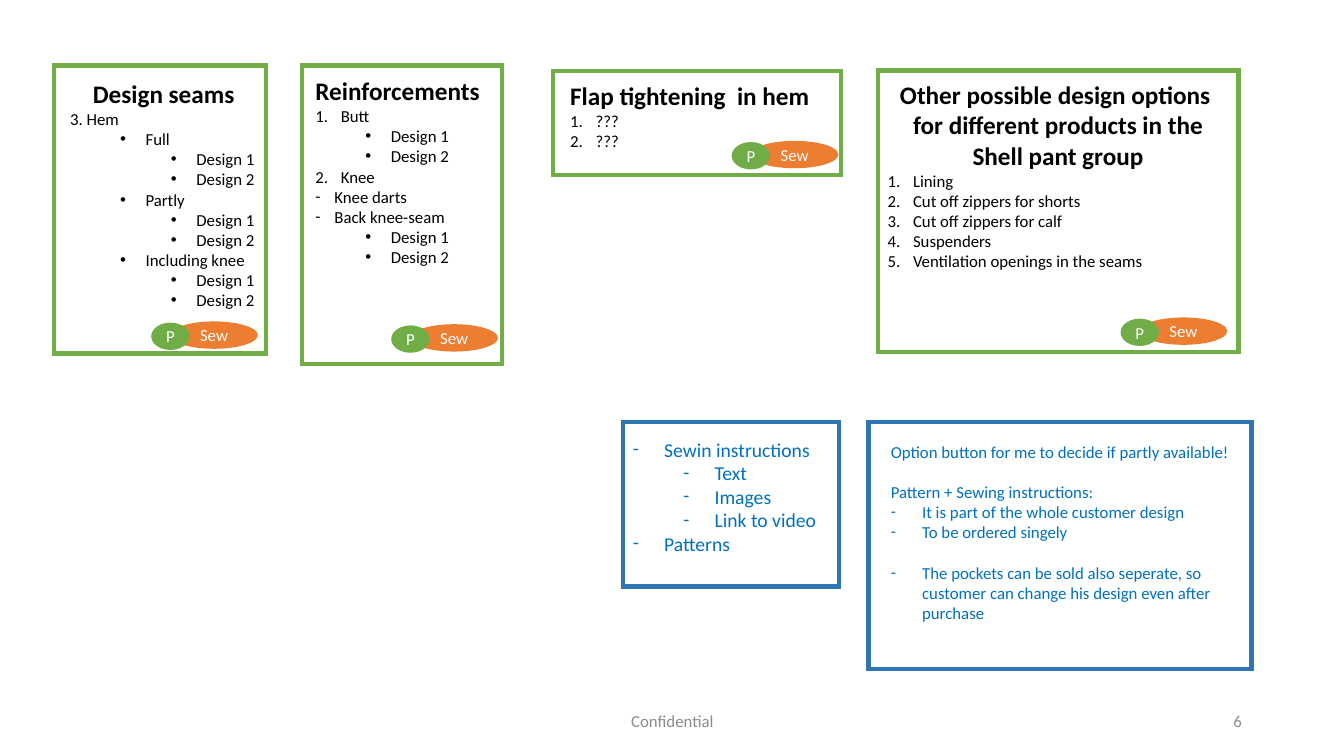
from collections import namedtuple

from lxml.etree import SubElement
from pptx import Presentation
from pptx.dml.color import RGBColor
from pptx.enum.shapes import MSO_SHAPE as Preset
from pptx.enum.text import MSO_ANCHOR as Anchor, MSO_AUTO_SIZE as AutoSize, PP_ALIGN as Align
from pptx.oxml.ns import qn
from pptx.util import Cm, Pt

GREEN = RGBColor(0x70, 0xAD, 0x47)
ORANGE = RGBColor(0xED, 0x7D, 0x31)
BLUE = RGBColor(0x2E, 0x75, 0xB6)
BLUE_TEXT = RGBColor(0x00, 0x70, 0xC0)
GREY = RGBColor(0x8C, 0x8C, 0x8C)
BLACK = RGBColor(0x00, 0x00, 0x00)
WHITE = RGBColor(0xFF, 0xFF, 0xFF)

Item = namedtuple("Item", "marker level indent hang")
PLAIN = Item(None, 0, 0, 0)
NUMBER = Item("1.", 0, 0.64, 0.64)
BULLET = Item("•", 1, 1.9, 0.64)
SUB_BULLET = Item("•", 2, 3.18, 0.64)
DASH = Item("-", 0, 0.48, 0.48)
WIDE_DASH = Item("-", 0, 0.79, 0.79)
SUB_DASH = Item("-", 1, 2.06, 0.79)

DESIGNS = ["Design 1", "Design 2"]
SEAM_COVERAGES = ["Full", "Partly", "Including knee"]


def rows(item, *texts):
    """Pair each text with the same list item style."""
    return [(item, text) for text in texts]


def add_run(paragraph, text, size, colour, bold=False):
    """Append one formatted run."""
    run = paragraph.add_run()
    run.text = text
    run.font.name = "Calibri"
    run.font.size = Pt(size)
    run.font.bold = bold
    run.font.color.rgb = colour


def set_marker(paragraph, item):
    """Give a paragraph its level, hanging indent and list marker."""
    paragraph.level = item.level
    properties = paragraph._p.get_or_add_pPr()
    properties.set("marL", str(Cm(item.indent)))
    properties.set("indent", str(-Cm(item.hang)))
    if item.marker == "1.":
        SubElement(properties, qn("a:buAutoNum"), type="arabicPeriod")
    elif item.marker:
        SubElement(properties, qn("a:buFont"), typeface="Arial" if item.marker == "•" else "Calibri")
        SubElement(properties, qn("a:buChar"), char=item.marker)


def add_frame(shapes, box, colour):
    """Draw the unfilled outline of a card."""
    frame = shapes.add_shape(Preset.FLOWCHART_PROCESS, *map(Cm, box))
    frame.shadow.inherit = False
    frame.fill.background()
    frame.line.color.rgb = colour
    frame.line.width = Pt(3)
    SubElement(frame.line._ln, qn("a:miter"), lim="800000")


def add_list(shapes, box, headings, items, size=12, colour=BLACK,
             heading_align=Align.LEFT, wrap=True, gaps=()):
    """Write bold headings and list items, with a line of space before each gap row."""
    text_box = shapes.add_textbox(*map(Cm, box))
    frame = text_box.text_frame
    frame.word_wrap = wrap
    frame.auto_size = AutoSize.SHAPE_TO_FIT_TEXT
    lines = rows(None, *headings) + items
    for index, (item, text) in enumerate(lines):
        paragraph = frame.add_paragraph() if index else frame.paragraphs[0]
        if index in gaps:
            paragraph.space_before = Pt(size * 1.2)
        if item is None:
            paragraph.alignment = heading_align
            add_run(paragraph, text, 18, colour, bold=True)
        else:
            set_marker(paragraph, item)
            add_run(paragraph, text, size, colour)


def add_card(slide, outline, outline_colour, text_area, headings, items, **options):
    """Group a frame with its list."""
    shapes = slide.shapes.add_group_shape().shapes
    add_frame(shapes, outline, outline_colour)
    add_list(shapes, text_area, headings, items, **options)


def add_oval(shapes, left, top, width, label, colour):
    """Draw one labelled oval."""
    oval = shapes.add_shape(Preset.OVAL, Cm(left), Cm(top), Cm(width), Cm(0.69))
    oval.shadow.inherit = False
    oval.fill.solid()
    oval.fill.fore_color.rgb = colour
    oval.line.fill.background()
    frame = oval.text_frame
    frame.margin_left = frame.margin_right = frame.margin_top = frame.margin_bottom = 0
    frame.vertical_anchor = Anchor.MIDDLE
    frame.paragraphs[0].alignment = Align.CENTER
    add_run(frame.paragraphs[0], label, 12, WHITE)


def add_badge(slide, left, top):
    """Draw the overlapping pattern and sewing ovals."""
    shapes = slide.shapes.add_group_shape().shapes
    add_oval(shapes, left + 0.48, top - 0.03, 2.21, "Sew", ORANGE)
    add_oval(shapes, left, top, 0.97, "P", GREEN)


def add_footer(slide, left, width, text, align):
    """Write one grey footer entry."""
    footer = slide.shapes.add_textbox(Cm(left), Cm(17.65), Cm(width), Cm(1.02))
    frame = footer.text_frame
    frame.word_wrap = True
    frame.vertical_anchor = Anchor.MIDDLE
    frame.paragraphs[0].alignment = align
    add_run(frame.paragraphs[0], text, 12, GREY)


def main():
    """Build the design options slide."""
    deck = Presentation()
    deck.slide_width, deck.slide_height = Cm(33.87), Cm(19.05)
    slide = deck.slides.add_slide(deck.slide_layouts[6])

    add_card(slide, (13.94, 1.8, 7.26, 2.62), GREEN, (14.12, 1.91, 7.04, 2.06),
             ["Flap tightening  in hem"], rows(NUMBER, "???", "???"))
    add_card(slide, (22.12, 1.78, 9.09, 7.09), GREEN, (22.12, 1.88, 9.09, 5.13),
             ["Other possible design options ", "for different products in the Shell pant group"],
             rows(NUMBER, "Lining", "Cut off zippers for shorts", "Cut off zippers for calf",
                  "Suspenders", "Ventilation openings in the seams"),
             heading_align=Align.CENTER)

    seams = rows(PLAIN, "3. Hem")
    for coverage in SEAM_COVERAGES:
        seams += rows(BULLET, coverage) + rows(SUB_BULLET, *DESIGNS)
    add_card(slide, (1.37, 1.65, 5.33, 7.26), GREEN, (1.52, 1.85, 5.21, 6.15),
             ["Design seams"], seams, heading_align=Align.CENTER, wrap=False)

    designs = rows(BULLET, *DESIGNS)
    reinforcements = (rows(NUMBER, "Butt") + designs + rows(NUMBER, "Knee")
                      + rows(DASH, "Knee darts", "Back knee-seam") + designs)
    add_card(slide, (7.62, 1.65, 5.03, 7.52), GREEN, (7.7, 1.78, 5.46, 6.65),
             ["Reinforcements"], reinforcements)

    add_footer(slide, 11.23, 11.43, "Confidential", Align.CENTER)
    add_footer(slide, 23.93, 7.62, "6", Align.RIGHT)

    for left, top in [(18.44, 3.58), (9.86, 8.2), (28.24, 8.03), (3.81, 8.13)]:
        add_badge(slide, left, top)

    add_card(slide, (15.7, 10.64, 5.44, 4.14), BLUE, (15.7, 10.9, 5.26, 3.02), [],
             rows(WIDE_DASH, "Sewin instructions")
             + rows(SUB_DASH, "Text", "Images", "Link to video")
             + rows(WIDE_DASH, "Patterns"),
             size=14, colour=BLUE_TEXT)
    add_card(slide, (21.89, 10.64, 9.65, 6.22), BLUE, (22.2, 11, 9.35, 4.88), [],
             rows(PLAIN, "Option button for me to decide if partly available!",
                  "Pattern + Sewing instructions:")
             + rows(WIDE_DASH, "It is part of the whole customer design",
                    "To be ordered singely",
                    "The pockets can be sold also seperate, so customer can change "
                    "his design even after purchase"),
             colour=BLUE_TEXT, gaps=(1, 4))

    deck.save("out.pptx")


if __name__ == "__main__":
    main()
